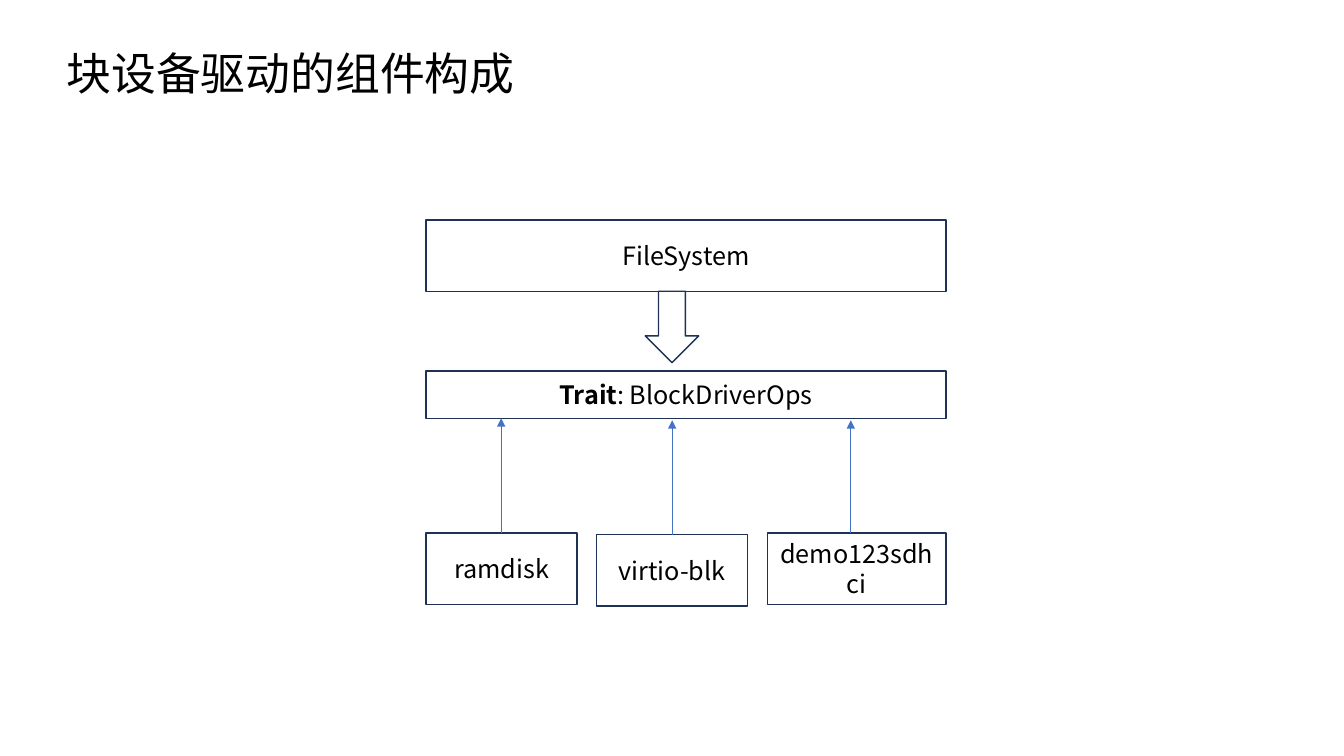
"""Build a slide on the components of a block device driver."""
from dataclasses import dataclass

import lxml.etree
import pptx
import pptx.dml.color
import pptx.enum.shapes
import pptx.enum.text
import pptx.oxml.ns
import pptx.util

Cm = pptx.util.Cm
Pt = pptx.util.Pt
Color = pptx.dml.color.RGBColor.from_string
Shape = pptx.enum.shapes.MSO_SHAPE
Align = pptx.enum.text.PP_ALIGN
Anchor = pptx.enum.text.MSO_ANCHOR
qn = pptx.oxml.ns.qn


@dataclass(frozen=True)
class Theme:
    font: str = "Noto Sans CJK SC"
    ink: str = "000000"
    paper: str = "FFFFFF"
    outline: str = "1E3256"
    link: str = "4472C4"
    title_size: int = 32
    label_size: int = 18


theme = Theme()


def add_text(para, text, size=theme.label_size, bold=False, align=Align.CENTER):
    para.alignment = align
    span = para.add_run()
    span.text = text
    span.font.size = Pt(size)
    span.font.bold = bold
    span.font.color.rgb = Color(theme.ink)
    span.font.name = theme.font
    east_asian = lxml.etree.SubElement(span.font._element, qn("a:ea"))
    east_asian.set("typeface", theme.font)


def add_outlined(page, kind, left, top, width, height):
    box = page.shapes.add_shape(kind, Cm(left), Cm(top), Cm(width), Cm(height))
    box.shadow.inherit = False
    box.fill.solid()
    box.fill.fore_color.rgb = Color(theme.paper)
    box.line.color.rgb = Color(theme.outline)
    box.line.width = Pt(1)
    box.text_frame.word_wrap = True
    box.text_frame.vertical_anchor = Anchor.MIDDLE
    return box


deck = pptx.Presentation()
deck.slide_width = Cm(33.87)
deck.slide_height = Cm(19.05)
page = deck.slides.add_slide(deck.slide_layouts[5])

title = page.shapes.title
title.left, title.top, title.width, title.height = Cm(1.42), Cm(1.02), Cm(27.69), Cm(1.63)
title.text_frame.vertical_anchor = Anchor.TOP
title.text_frame.auto_size = pptx.enum.text.MSO_AUTO_SIZE.SHAPE_TO_FIT_TEXT
add_text(title.text_frame.paragraphs[0], "块设备驱动的组件构成",
         size=theme.title_size, align=Align.LEFT)

stack_left, stack_width, box_height = 10.74, 13.1, 1.8
layers = [
    (5.54, box_height, [("FileSystem", False)]),
    (9.35, 1.19, [("Trait", True), (": BlockDriverOps", False)]),
]
for top, height, parts in layers:
    layer = add_outlined(page, Shape.RECTANGLE, stack_left, top, stack_width, height)
    for text, bold in parts:
        add_text(layer.text_frame.paragraphs[0], text, bold=bold)

add_outlined(page, Shape.DOWN_ARROW, 16.26, 7.34, 1.35, box_height)

drivers = [
    ("ramdisk", stack_left, 13.43, 3.8, 12.63, 10.54),
    ("virtio-blk", 15.04, 13.47, 3.8, 16.94, 10.59),
    ("demo123sdhci", 19.34, 13.43, 4.5, 21.44, 10.59),
]
for name, left, top, width, link_x, link_end in drivers:
    driver = add_outlined(page, Shape.RECTANGLE, left, top, width, box_height)
    add_text(driver.text_frame.paragraphs[0], name)
    link = page.shapes.add_connector(pptx.enum.shapes.MSO_CONNECTOR.STRAIGHT,
                                     Cm(link_x), Cm(top), Cm(link_x), Cm(link_end))
    link.line.color.rgb = Color(theme.link)
    link.line.width = Pt(0.5)
    properties = link._element.spPr
    lxml.etree.SubElement(properties.find(qn("a:ln")), qn("a:tailEnd")).set("type", "triangle")
    lxml.etree.SubElement(properties, qn("a:effectLst"))

deck.save("out.pptx")
